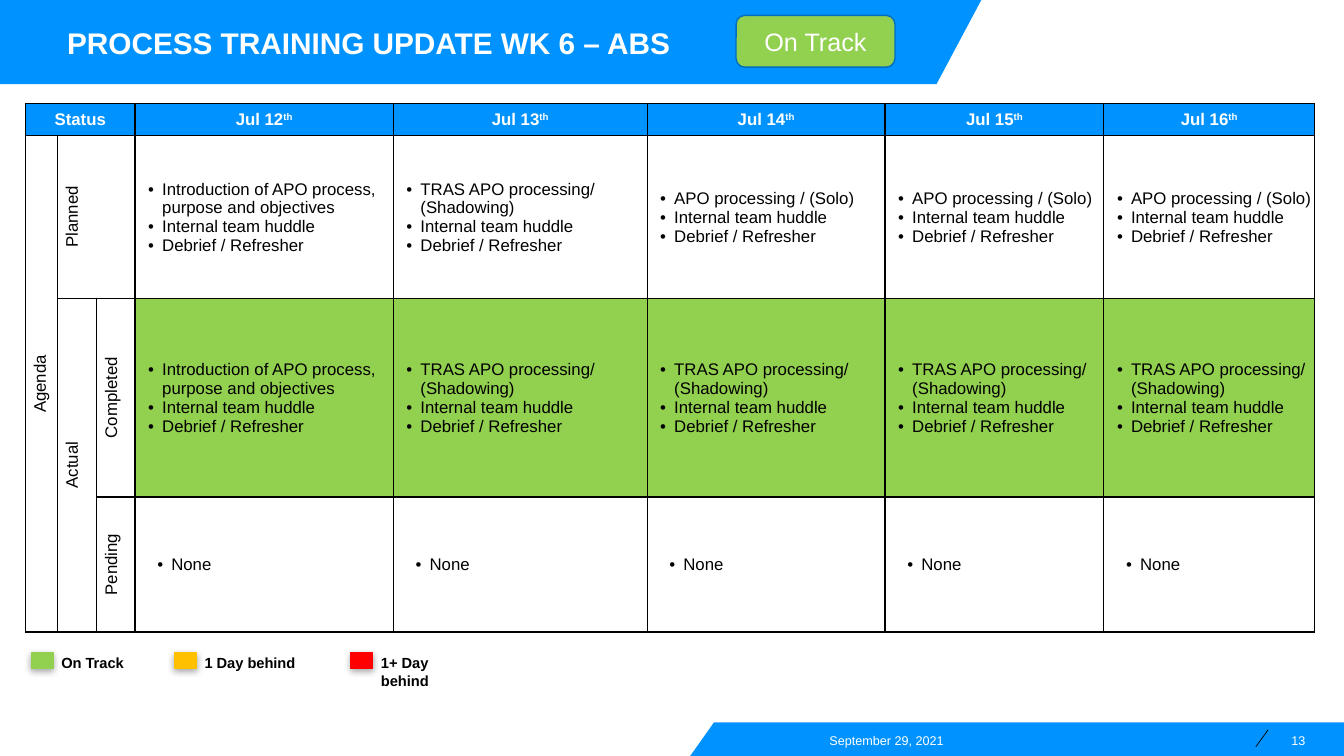
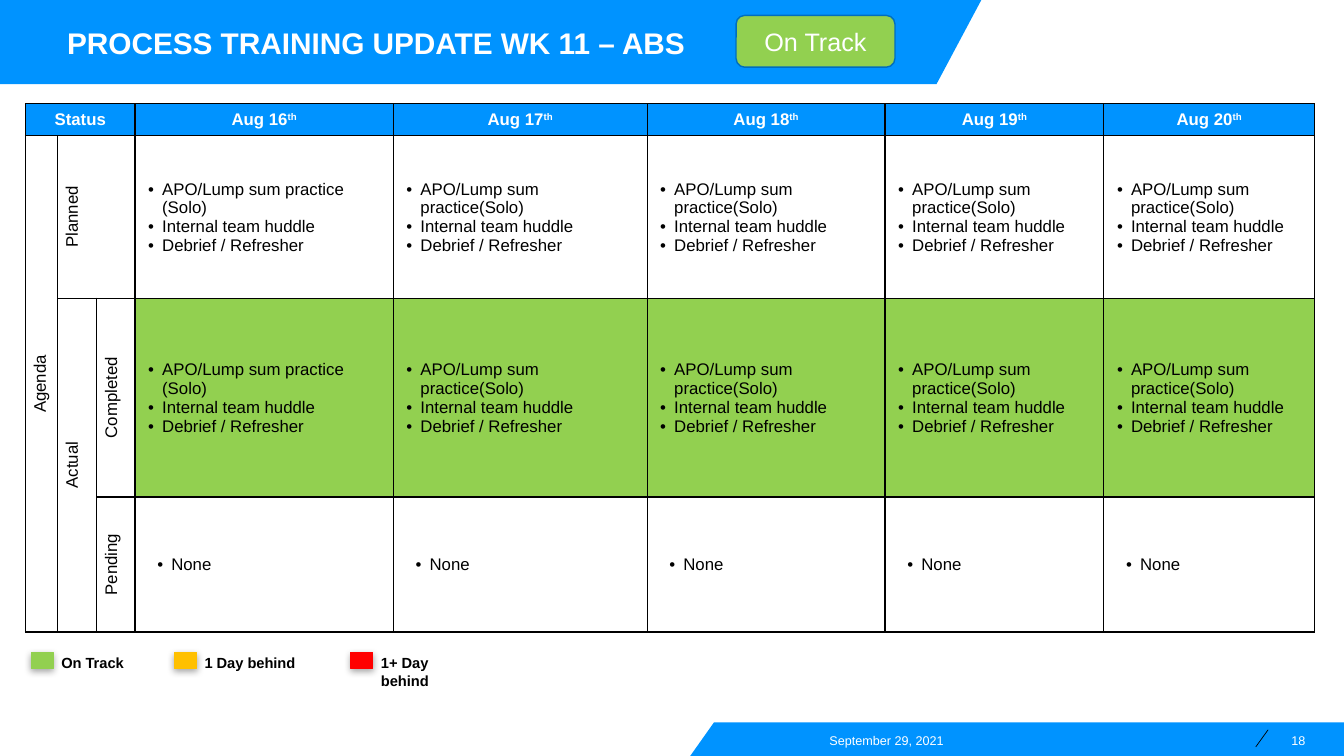
"""Build two weekly training status slides."""
from dataclasses import dataclass
from lxml import etree
from pptx import Presentation
from pptx.dml.color import RGBColor
from pptx.enum.shapes import MSO_CONNECTOR, MSO_SHAPE
from pptx.enum.text import MSO_ANCHOR, MSO_AUTO_SIZE, PP_ALIGN
from pptx.oxml.ns import qn
from pptx.util import Pt

LEFT, MID, RIGHT = PP_ALIGN.LEFT, PP_ALIGN.CENTER, PP_ALIGN.RIGHT
TOP, CENTER = MSO_ANCHOR.TOP, MSO_ANCHOR.MIDDLE
RECT, ROUND = MSO_SHAPE.RECTANGLE, MSO_SHAPE.ROUNDED_RECTANGLE
STRAIGHT, NO_FIT = MSO_CONNECTOR.STRAIGHT, MSO_AUTO_SIZE.NONE


@dataclass(frozen=True)
class Theme:
    font: str = "Arial"
    blue: str = "0093FF"
    edge: str = "006DBD"
    green: str = "92D050"
    amber: str = "FFC000"
    red: str = "FF0000"
    white: str = "FFFFFF"
    black: str = "000000"
    title: float = 21.3
    badge: float = 18
    body: float = 12
    key: float = 10.5
    foot: float = 9


THEME = Theme()
DATE = "September 29, 2021"
TAIL = ["Internal team huddle", "Debrief / Refresher"]
INTRO = "Introduction of APO process, purpose and objectives"
SHADOW = "TRAS APO processing/ (Shadowing)"
SOLO = "APO processing / (Solo)"
LUMP = ["APO/Lump sum practice (Solo)"] + ["APO/Lump sum practice(Solo)"] * 4
WEEKS = [
    {"title": "PROCESS TRAINING UPDATE WK 6 – ABS", "page": "13",
     "month": "Jul", "first": 12,
     "plan": [INTRO, SHADOW, SOLO, SOLO, SOLO],
     "done": [INTRO] + [SHADOW] * 4},
    {"title": "PROCESS TRAINING UPDATE WK 11 – ABS", "page": "18",
     "month": "Aug", "first": 16, "plan": LUMP, "done": LUMP},
]
LEGEND = [("On Track", THEME.green, 22.3), ("1 Day behind", THEME.amber, 124.6),
          ("1+ Day behind", THEME.red, 250.6)]
COLS = [23, 28, 27.3, 184.5, 181.3, 170, 156.3, 150.5]
ROWS = [23, 116, 142, 96.5]
SPANS = [(0, 0, 0, 2), (1, 0, 3, 0), (1, 1, 1, 2), (2, 1, 3, 1)]
SIDES = [("Agenda", 1, 0, CENTER), ("Planned", 1, 1, CENTER),
         ("Actual", 2, 1, TOP), ("Completed", 2, 2, TOP), ("Pending", 3, 2, TOP)]
HEAD = [(0, 0), (701, 0), (669, 60.5), (0, 60.5)]
FOOT = [(510, 516.3), (960, 516.3), (960, 540), (493, 540)]
CELL_PAD, TIGHT = (7.2, 3.6, 7.2, 3.6), (0.7, 0.7, 1.5, 0)


def rgb(hue):
    return RGBColor.from_string(hue)


def write(box, lines, size=THEME.body, hue=THEME.black, bold=False, align=LEFT,
          anchor=TOP, pad=CELL_PAD, bullet=False):
    """Fill a shape or cell; a caret starts superscript text."""
    frame = box.text_frame
    owner = box if hasattr(box, "margin_left") else frame
    owner.vertical_anchor = anchor
    for side, gap in zip(("left", "top", "right", "bottom"), pad):
        setattr(owner, "margin_" + side, Pt(gap))
    for num, line in enumerate(lines):
        para = frame.add_paragraph() if num else frame.paragraphs[0]
        para.alignment = align
        if bullet:
            props = para._p.get_or_add_pPr()
            props.set("marL", str(Pt(18.7)))
            props.set("indent", str(Pt(-10)))
            etree.SubElement(props, qn("a:buFont"), typeface=THEME.font)
            etree.SubElement(props, qn("a:buChar"), char="•")
        for part, words in enumerate(line.split("^")):
            run = para.add_run()
            run.text = words
            font = run.font
            font.name, font.size, font.bold = THEME.font, Pt(size), bold
            font.color.rgb = rgb(hue)
            if part:
                run._r.get_or_add_rPr().set("baseline", "30000")


def label(slide, words, left, top, width, height, wrap=True, **style):
    box = slide.shapes.add_textbox(Pt(left), Pt(top), Pt(width), Pt(height))
    box.text_frame.word_wrap = wrap
    write(box, [words], **style)


def block(slide, kind, left, top, width, height, fill, edge, weight):
    shape = slide.shapes.add_shape(kind, Pt(left), Pt(top), Pt(width), Pt(height))
    shape.shadow.inherit = False
    shape.fill.solid()
    shape.fill.fore_color.rgb = rgb(fill)
    shape.line.color.rgb = rgb(edge)
    shape.line.width = Pt(weight)
    return shape


def band(slide, points):
    maker = slide.shapes.build_freeform(*points[0], scale=Pt(1))
    maker.add_line_segments(points[1:], close=True)
    shape = maker.convert_to_shape()
    shape.shadow.inherit = False
    shape.fill.solid()
    shape.fill.fore_color.rgb = rgb(THEME.blue)
    shape.line.fill.background()


def frame(slide, week):
    """Draw bands, footer, title and status badge."""
    band(slide, FOOT)
    slash = slide.shapes.add_connector(STRAIGHT, Pt(905.8), Pt(521.3), Pt(897), Pt(533.5))
    slash.line.color.rgb = rgb(THEME.black)
    slash.line.width = Pt(0.5)
    etree.SubElement(slash._element.spPr, qn("a:effectLst"))
    band(slide, HEAD)
    for words, left, width in ((DATE, 510.5, 163.5), (week["page"], 905.8, 26.6)):
        label(slide, words, left, 523.5, width, 11, size=THEME.foot,
              hue=THEME.white, align=RIGHT, pad=(0,) * 4)
    title = slide.shapes.title
    title.left, title.top, title.width, title.height = Pt(48), Pt(7.2), Pt(466), Pt(46)
    title.text_frame.auto_size = NO_FIT
    write(title, [week["title"]], size=THEME.title, hue=THEME.white, bold=True,
          anchor=CENTER, pad=(0,) * 4)
    slide.shapes._spTree.append(title._element)
    badge = block(slide, ROUND, 525.8, 11, 113.5, 37, THEME.green, THEME.edge, 1)
    write(badge, ["On Track"], size=THEME.badge, hue=THEME.white, align=MID, anchor=CENTER)


def paint(cell, fill):
    """Set the fill and the four borders of a cell."""
    cell.fill.solid()
    cell.fill.fore_color.rgb = rgb(fill)
    props = cell._tc.get_or_add_tcPr()
    for spot, side in enumerate("LRTB"):
        line = etree.Element(qn("a:ln" + side), w=str(Pt(1)))
        paint_fill = etree.SubElement(line, qn("a:solidFill"))
        etree.SubElement(paint_fill, qn("a:srgbClr"), val=THEME.black)
        props.insert(spot, line)


def agenda(slide, week):
    """Add the table of planned and actual work."""
    grid = slide.shapes.add_table(len(ROWS), len(COLS), Pt(18.2), Pt(74),
                                  Pt(sum(COLS)), Pt(sum(ROWS))).table
    for col, width in zip(grid.columns, COLS):
        col.width = Pt(width)
    for row, height in zip(grid.rows, ROWS):
        row.height = Pt(height)
    for row in range(len(ROWS)):
        for col in range(len(COLS)):
            fill = THEME.white
            if row == 0:
                fill = THEME.blue
            elif row == 2 and col > 2:
                fill = THEME.green
            paint(grid.cell(row, col), fill)
    for top, left, low, right in SPANS:
        grid.cell(top, left).merge(grid.cell(low, right))
    days = [f"{week['month']} {week['first'] + num}^th" for num in range(5)]
    for col, words in [(0, "Status"), *enumerate(days, 3)]:
        write(grid.cell(0, col), [words], hue=THEME.white, bold=True,
              align=MID, anchor=CENTER)
    for words, row, col, anchor in SIDES:
        cell = grid.cell(row, col)
        write(cell, [words], align=MID, anchor=anchor)
        cell._tc.get_or_add_tcPr().set("vert", "vert270")
    for col, (plan, done) in enumerate(zip(week["plan"], week["done"]), 3):
        for row, lines, pad in ((1, [plan] + TAIL, TIGHT), (2, [done] + TAIL, TIGHT),
                                (3, ["None"], CELL_PAD)):
            write(grid.cell(row, col), lines, anchor=CENTER, pad=pad, bullet=True)


def legend(slide):
    for words, hue, left in LEGEND:
        chip = block(slide, RECT, left, 466, 15.8, 11.5, hue, hue, 0.75)
        glow = etree.SubElement(chip._element.spPr.find(qn("a:effectLst")),
                                qn("a:outerShdw"), blurRad=str(Pt(5)),
                                dist=str(Pt(1.8)), dir="5400000", rotWithShape="0")
        shade = etree.SubElement(glow, qn("a:srgbClr"), val=THEME.black)
        etree.SubElement(shade, qn("a:alpha"), val="35000")
        label(slide, words, left + 14.4, 463.7, 84, 20, wrap=False,
              size=THEME.key, bold=True)


def main():
    deck = Presentation()
    deck.slide_width, deck.slide_height = Pt(960), Pt(540)
    for week in WEEKS:
        slide = deck.slides.add_slide(deck.slide_layouts[5])
        frame(slide, week)
        agenda(slide, week)
        legend(slide)
    deck.save("out.pptx")


if __name__ == "__main__":
    main()
